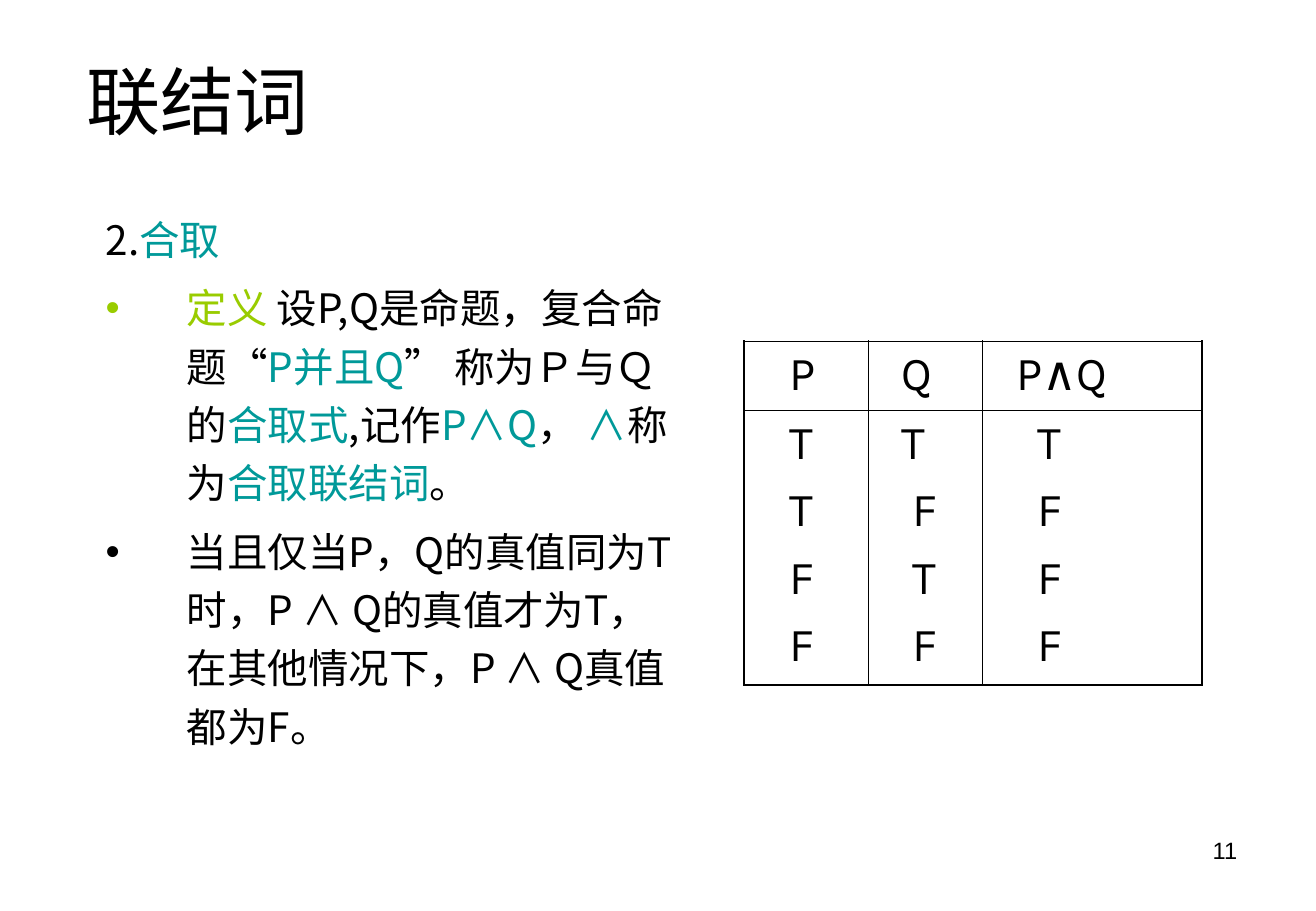
"""Build the slide on conjunction with its truth table."""
from lxml.etree import SubElement
from pptx import Presentation
from pptx.dml.color import RGBColor
from pptx.enum.text import MSO_ANCHOR, MSO_AUTO_SIZE, PP_ALIGN
from pptx.oxml.ns import qn
from pptx.util import Inches, Pt

BLACK, TEAL, GREEN = "000000", "009999", "99CC00"
CJK = "Noto Sans CJK SC"


def add_text(paragraph, text, size=24, color=BLACK, font=CJK):
    run = paragraph.add_run()
    run.text = text
    run.font.size = Pt(size)
    run.font.bold = False
    run.font.name = font
    run.font.color.rgb = RGBColor.from_string(color)
    SubElement(run.font._element, qn("a:ea"), typeface=CJK)


def add_colored(parent, tag, color):
    holder = SubElement(parent, qn(tag))
    if tag != "a:buClr":
        holder = SubElement(holder, qn("a:solidFill"))
    SubElement(holder, qn("a:srgbClr"), val=color)
    return parent[-1]


presentation = Presentation()
presentation.slide_width = Inches(10.84)
presentation.slide_height = Inches(7.5)
slide = presentation.slides.add_slide(presentation.slide_layouts[1])
title, body = slide.placeholders

title.left, title.top, title.width, title.height = map(Inches, (0.61, 0.44, 8.34, 0.76))
title.text_frame.auto_size = MSO_AUTO_SIZE.NONE
title.text_frame.vertical_anchor = MSO_ANCHOR.MIDDLE
title_paragraph = title.text_frame.paragraphs[0]
title_paragraph.alignment = PP_ALIGN.LEFT
add_text(title_paragraph, "联结词", size=44, font="Arial")

body.left, body.top, body.width, body.height = map(Inches, (0.77, 1.64, 4.99, 4.74))
body.text_frame.auto_size = MSO_AUTO_SIZE.NONE
body_paragraphs = [
    (None, [("2.", BLACK), ("合取", TEAL)]),
    (GREEN, [
        ("定义", GREEN), (" 设P,Q是命题，复合命题", BLACK), ("“", BLACK, "Arial"),
        ("P并且Q", TEAL), ("” ", BLACK, "Arial"), ("称为Ｐ与Ｑ的", BLACK),
        ("合取式", TEAL), (",记作", BLACK), ("P∧Q", TEAL), ("， ", BLACK),
        ("∧", TEAL), ("称为", BLACK), ("合取联结词", TEAL), ("。", BLACK),
    ]),
    (BLACK, [("当且仅当P，Q的真值同为T时，P ∧ Q的真值才为T，在其他情况下，P ∧ Q真值都为F。", BLACK)]),
]
for index, (bullet_color, runs) in enumerate(body_paragraphs):
    paragraph = body.text_frame.add_paragraph() if index else body.text_frame.paragraphs[0]
    properties = paragraph._p.get_or_add_pPr()
    properties.set("marL", str(Inches(0.67)))
    properties.set("indent", str(Inches(-0.67)))
    if bullet_color:
        add_colored(properties, "a:buClr", bullet_color)
        SubElement(properties, qn("a:buFont"), typeface="Arial")
        SubElement(properties, qn("a:buChar"), char="•")
    else:
        SubElement(properties, qn("a:buNone"))
    paragraph.line_spacing = 1.2
    paragraph.space_before = Pt(6 if index else 0)
    for text, color, *font in runs:
        add_text(paragraph, text, color=color, font=font[0] if font else CJK)

number_box = slide.shapes.add_textbox(*map(Inches, (8.41, 6.83, 1.88, 0.52)))
number_box.text_frame.word_wrap = True
number_paragraph = number_box.text_frame.paragraphs[0]
number_paragraph.alignment = PP_ALIGN.RIGHT
add_text(number_paragraph, "11", size=14, font="Arial")

table = slide.shapes.add_table(2, 3, *map(Inches, (6.13, 2.81, 3.78, 2.83))).table
table.first_row = table.horz_banding = False
for column, width in zip(table.columns, (1.02, 0.94, 1.81)):
    column.width = Inches(width)
for row, height in zip(table.rows, (0.57, 2.26)):
    row.height = Inches(height)

truth_table = [
    [[("P", 3)], [("Q", 2)], [("P∧Q", 2)]],
    [
        [(value, 3) for value in "TTFF"],
        [("T", 2), ("F", 3), ("T", 3), ("F", 3)],
        [(value, 4) for value in "TFFF"],
    ],
]
for row_index, row_values in enumerate(truth_table):
    for column_index, values in enumerate(row_values):
        cell = table.cell(row_index, column_index)
        outer_sides = {
            "a:lnL": column_index == 0, "a:lnR": column_index == 2,
            "a:lnT": row_index == 0, "a:lnB": row_index == 1,
        }
        cell_properties = cell._tc.get_or_add_tcPr()
        for tag, outer in outer_sides.items():
            border = add_colored(cell_properties, tag, BLACK)
            border.set("w", str(Pt(1.08 if outer else 0.45)))
        cell.fill.background()
        for index, (value, indent_level) in enumerate(values):
            paragraph = cell.text_frame.add_paragraph() if index else cell.text_frame.paragraphs[0]
            paragraph._p.get_or_add_pPr().set("marL", str(Inches(0.09 * indent_level)))
            paragraph.space_before = Pt(7 if index else 0)
            add_text(paragraph, value, size=28, font="Karla")

presentation.save("out.pptx")
